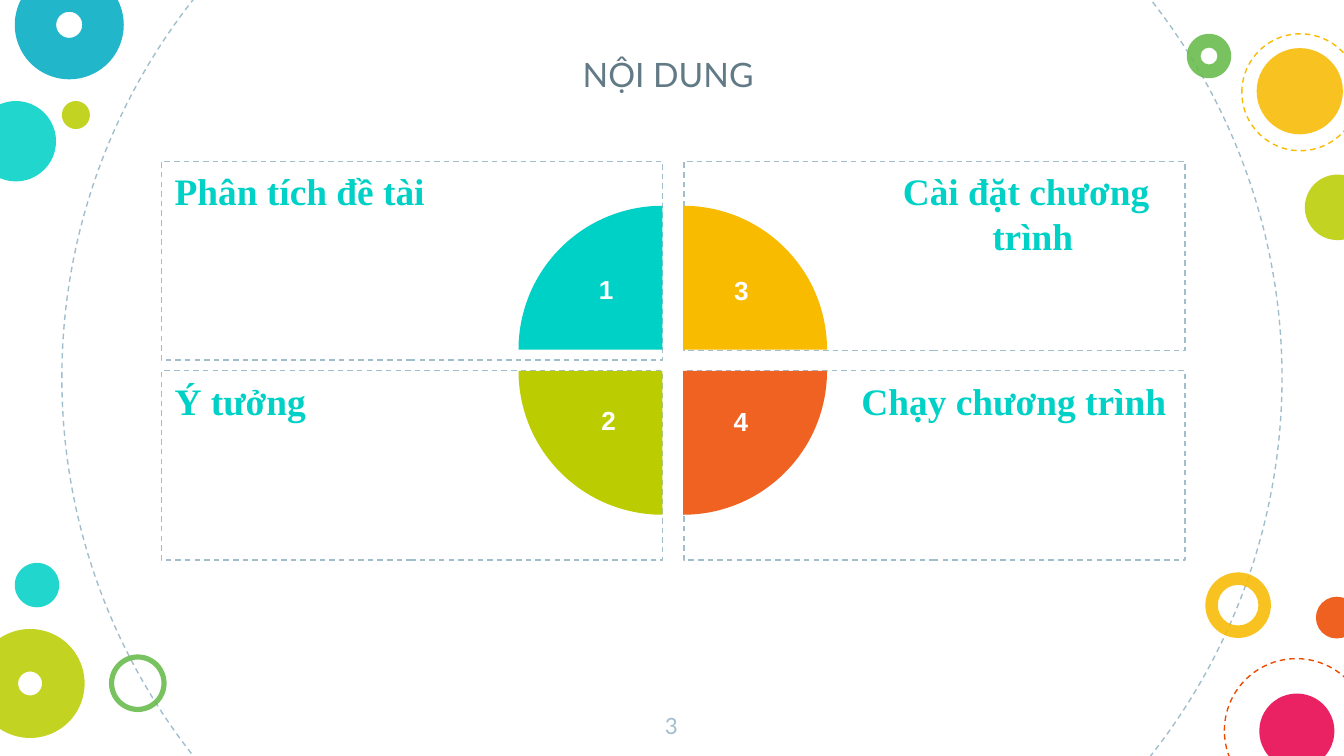
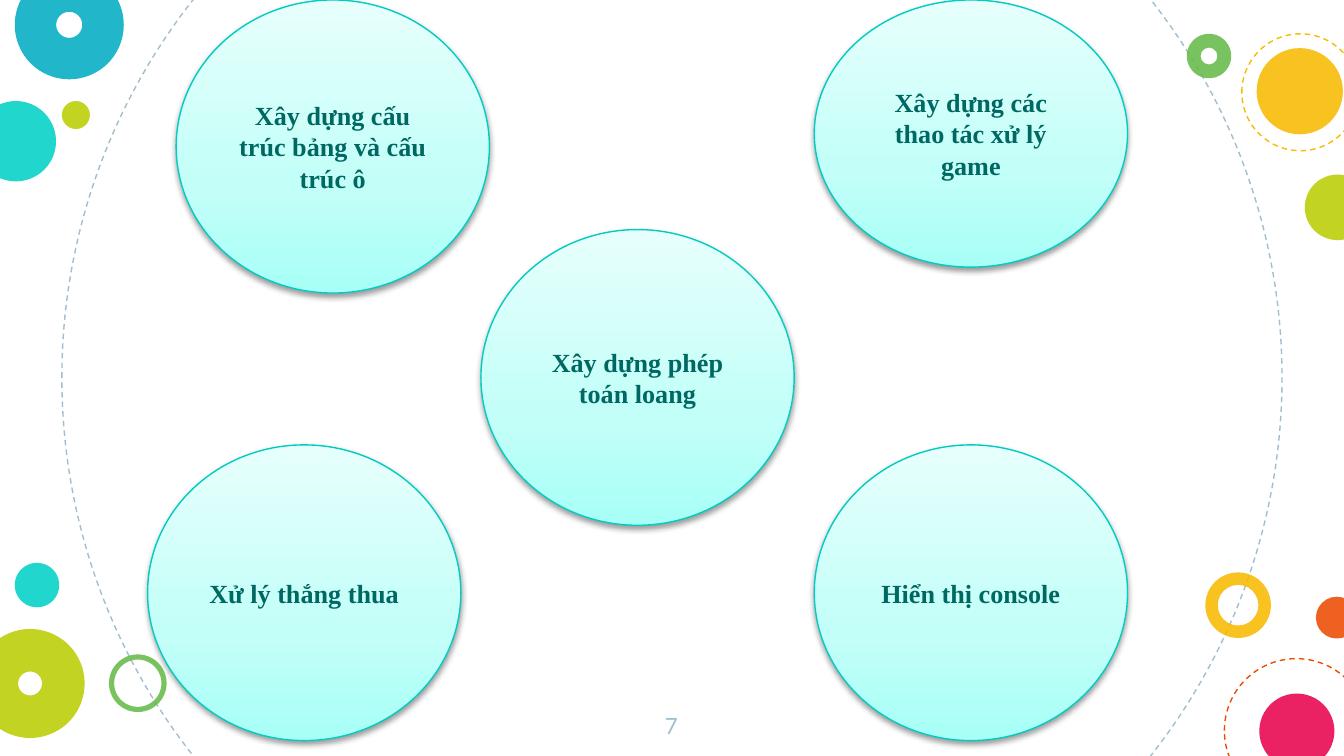
from copy import deepcopy

from lxml.etree import SubElement
from pptx import Presentation
from pptx.dml.color import RGBColor
from pptx.enum.dml import MSO_LINE
from pptx.enum.shapes import MSO_SHAPE as Preset
from pptx.enum.text import MSO_ANCHOR as Anchor, MSO_AUTO_SIZE as AutoSize, PP_ALIGN as Align
from pptx.oxml.ns import qn
from pptx.util import Cm, Pt

WHITE = RGBColor(0xFF, 0xFF, 0xFF)
TEAL = RGBColor(0x00, 0xD1, 0xC6)
TEAL_LINE = RGBColor(0x00, 0xCC, 0xC2)
TEAL_TEXT = RGBColor(0x00, 0x68, 0x63)
BLUE = RGBColor(0x00, 0xAC, 0xC3)
LIME = RGBColor(0xBB, 0xCD, 0x00)
GREEN = RGBColor(0x65, 0xBB, 0x48)
YELLOW = RGBColor(0xF8, 0xBB, 0x00)
ORANGE = RGBColor(0xEF, 0x62, 0x22)
RED = RGBColor(0xED, 0x4A, 0x00)
PINK = RGBColor(0xE8, 0x00, 0x4C)
SLATE = RGBColor(0x61, 0x7A, 0x86)
MIST = RGBColor(0xA1, 0xBE, 0xCC)
BUBBLE_STOPS = (
    (0, RGBColor(0xA7, 0xFF, 0xF6)),
    (0.35, RGBColor(0xC1, 0xFF, 0xF8)),
    (1, RGBColor(0xE7, 0xFF, 0xFC)),
)

LATO, SERIF, SANS = "Lato", "Times New Roman", "Arial"
TITLE_ONLY, BLANK = 5, 6
WIDE_INSET = (0.25, 0.25)
TEXT_INSET = (0.25, 0.13)

RINGS = (
    (1.17, -4.39, 23.06, MIST),
    (23.14, 12.45, 2.72, RED),
    (23.47, 0.64, 2.21, YELLOW),
)
DISCS = (
    (-0.46, 1.91, 1.52, TEAL),
    (1.17, 1.91, 0.53, LIME),
    (24.87, 11.28, 0.79, RED),
    (23.8, 13.11, 1.42, PINK),
    (23.75, 0.91, 1.63, YELLOW),
    (24.66, 3.3, 1.24, LIME),
    (0.28, 10.64, 0.84, TEAL),
)
DONUTS = (
    (22.78, 10.82, 1.24, YELLOW, 0.19),
    (0.28, -0.56, 2.06, BLUE, 0.38),
    (2.06, 12.37, 1.09, GREEN, 0.09),
    (-0.46, 11.89, 2.06, LIME, 0.39),
    (22.43, 0.64, 0.84, GREEN, 0.31),
)


def write_text(frame, text, font, size, color, bold=False, align=Align.CENTER,
               anchor=Anchor.TOP, inset=TEXT_INSET, margin=0, indent=0):
    frame.word_wrap = True
    frame.vertical_anchor = anchor
    frame.margin_left = frame.margin_right = Cm(inset[0])
    frame.margin_top = frame.margin_bottom = Cm(inset[1])
    paragraph = frame.paragraphs[0]
    paragraph.alignment = align
    if margin:
        properties = paragraph._p.get_or_add_pPr()
        properties.set("marL", str(Cm(margin)))
        properties.set("indent", str(Cm(indent)))
    run = paragraph.add_run()
    run.text = text
    run.font.name = font
    run.font.size = Pt(size)
    run.font.bold = bold
    run.font.color.rgb = color


class Deck:
    def __init__(self):
        self.presentation = Presentation()
        self.presentation.slide_width = Cm(25.4)
        self.presentation.slide_height = Cm(14.29)
        self.slide = None

    def start_slide(self, number, layout):
        first = self.slide is None
        self.slide = self.presentation.slides.add_slide(self.presentation.slide_layouts[layout])
        if first:
            self.decorate_master()
        self.label(str(number), 12.04, 13.21, 1.3, 1.09, font=LATO, size=12,
                   color=MIST, inset=WIDE_INSET)

    def decorate_master(self):
        shapes = [self.dashed(Preset.OVAL, x, y, side, side, color) for x, y, side, color in RINGS]
        shapes += [self.filled(Preset.OVAL, x, y, side, color, opacity=87)
                   for x, y, side, color in DISCS]
        shapes += [self.filled(Preset.DONUT, x, y, side, color, [hole], opacity=87)
                   for x, y, side, color, hole in DONUTS]
        tree = self.presentation.slide_master.element.cSld.spTree
        for identifier, shape in enumerate(shapes, 100):
            shape.element.nvSpPr.cNvPr.set("id", str(identifier))
            tree.append(shape.element)

    def shape(self, preset, x, y, width, height):
        shape = self.slide.shapes.add_shape(preset, Cm(x), Cm(y), Cm(width), Cm(height))
        shape.shadow.inherit = False
        return shape

    def dashed(self, preset, x, y, width, height, color):
        shape = self.shape(preset, x, y, width, height)
        shape.fill.background()
        shape.line.color.rgb = color
        shape.line.width = Pt(0.75)
        shape.line.dash_style = MSO_LINE.DASH
        return shape

    def filled(self, preset, x, y, side, color, adjustments=(), rotation=0, opacity=100):
        shape = self.shape(preset, x, y, side, side)
        shape.rotation = rotation
        for index, value in enumerate(adjustments):
            shape.adjustments[index] = value
        shape.fill.solid()
        shape.fill.fore_color.rgb = color
        shape.line.fill.background()
        if opacity < 100:
            color_node = shape.element.spPr.find(qn("a:solidFill"))[0]
            SubElement(color_node, qn("a:alpha"), val=str(opacity * 1000))
        return shape

    def label(self, text, x, y, width, height, grow=False, **text_format):
        box = self.slide.shapes.add_textbox(Cm(x), Cm(y), Cm(width), Cm(height))
        write_text(box.text_frame, text, **text_format)
        if grow:
            box.text_frame.auto_size = AutoSize.SHAPE_TO_FIT_TEXT

    def title(self, text):
        title = self.slide.shapes.title
        title.left, title.top, title.width, title.height = Cm(5.38), Cm(0.25), Cm(14.66), Cm(1.78)
        title.text_frame.auto_size = AutoSize.NONE
        write_text(title.text_frame, text, LATO, 18, SLATE, anchor=Anchor.BOTTOM,
                   inset=WIDE_INSET)

    def bubble(self, text, x, y, height):
        shape = self.shape(Preset.OVAL, x, y, 5.92, height)
        shape.fill.gradient()
        shape.fill.gradient_angle = 90
        stop_list = shape.element.spPr.find(qn("a:gradFill")).find(qn("a:gsLst"))
        stop_list.insert(1, deepcopy(stop_list[0]))
        for stop, (position, color) in zip(shape.fill.gradient_stops, BUBBLE_STOPS):
            stop.position = position
            stop.color.rgb = color
        shape.line.color.rgb = TEAL_LINE
        shape.line.width = Pt(0.75)
        effects = shape.element.spPr.find(qn("a:effectLst"))
        shadow = SubElement(effects, qn("a:outerShdw"), blurRad=str(Pt(3.1)),
                            dist=str(Pt(1.6)), dir="5400000", rotWithShape="0")
        shadow_color = SubElement(shadow, qn("a:srgbClr"), val="000000")
        SubElement(shadow_color, qn("a:alpha"), val="38000")
        write_text(shape.text_frame, text, SERIF, 14, TEAL_TEXT, bold=True,
                   anchor=Anchor.MIDDLE, inset=WIDE_INSET)


def build_contents(deck):
    deck.start_slide(3, TITLE_ONLY)
    deck.title("NỘI DUNG ")

    left, right, top, bottom = 3.05, 12.93, 3.05, 7.01
    for x, y, height in ((left, top, 3.76), (right, top, 3.58),
                         (left, bottom, 3.58), (right, bottom, 3.58)):
        deck.dashed(Preset.RECTANGLE, x, y, 9.47, height, MIST)

    quarters = ((9.8, 3.89, TEAL), (10.19, 3.89, YELLOW),
                (10.19, 4.29, ORANGE), (9.8, 4.29, LIME))
    for turn, (x, y, color) in enumerate(quarters):
        deck.filled(Preset.PIE, x, y, 5.44, color, (108, 162), rotation=90 * turn)

    for number, x, y, width in (("1", 11.05, 5.03, 0.81), ("3", 13.36, 5.05, 1.3),
                                ("2", 10.97, 7.52, 1.07), ("4", 13.61, 7.54, 0.79)):
        deck.label(number, x, y, width, 1.04, font=SANS, size=14, color=WHITE, bold=True)

    headings = (
        ("Phân tích đề tài", left, top, 9.53, 1.12, Align.LEFT, -0.79),
        ("Ý tưởng", left, bottom, 9.47, 1.12, Align.LEFT, -0.79),
        ("Chạy chương trình", 16.03, bottom, 6.35, 1.12, Align.LEFT, -0.79),
        ("Cài đặt chương trình", 15.85, top, 6.55, 1.96, Align.CENTER, -0.25),
    )
    for text, x, y, width, height, align, indent in headings:
        deck.label(text, x, y, width, height, grow=True, font=SERIF, size=20, color=TEAL,
                   bold=True, align=align, margin=0.79, indent=indent)


def build_ideas(deck):
    deck.start_slide(7, BLANK)
    for text, x, y, height in (
        ("Xây dựng cấu trúc bảng và cấu trúc ô", 3.33, 0, 5.54),
        ("Xây dựng các thao tác xử lý game", 15.39, 0, 5.05),
        ("Xây dựng phép toán loang", 9.09, 4.34, 5.59),
        ("Xử lý thắng thua", 2.79, 8.41, 5.59),
        ("Hiển thị console", 15.39, 8.41, 5.59),
    ):
        deck.bubble(text, x, y, height)


def main():
    deck = Deck()
    build_contents(deck)
    build_ideas(deck)
    deck.presentation.save("out.pptx")


if __name__ == "__main__":
    main()
